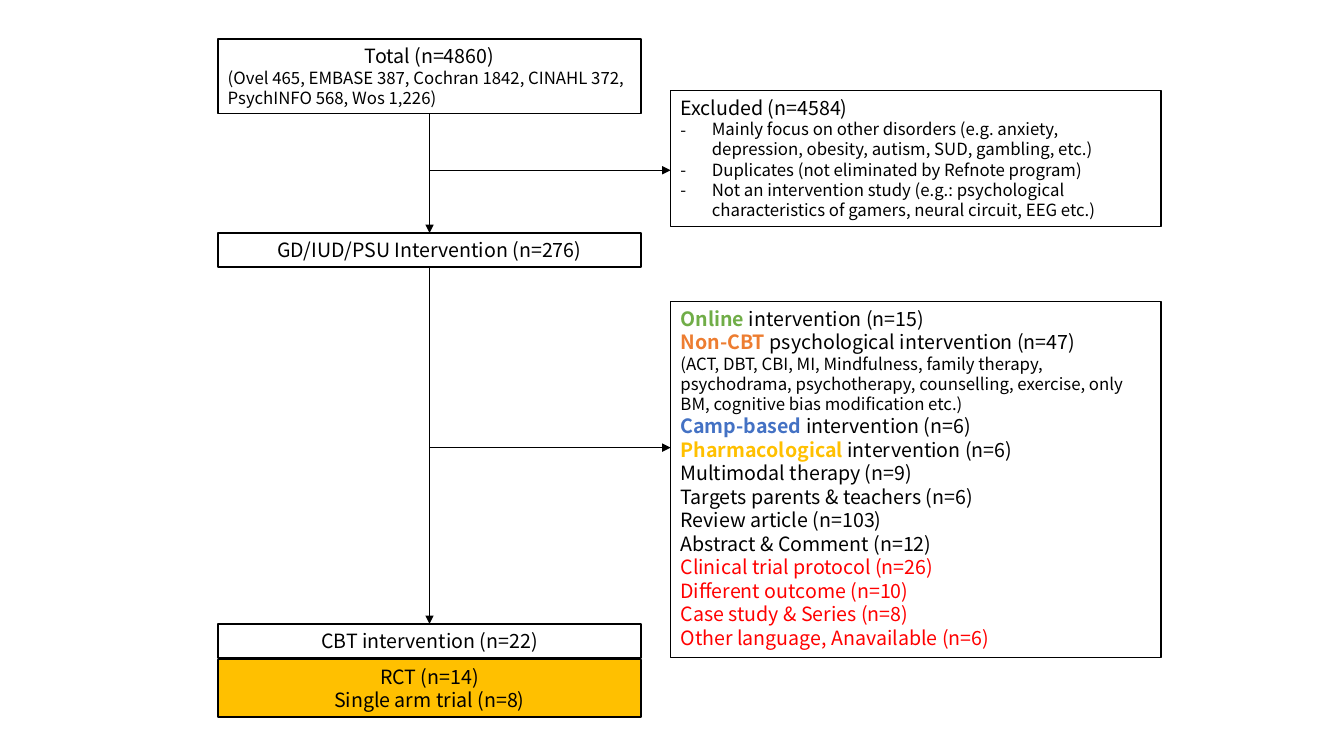
"""Build a study selection flow chart for CBT interventions."""
from lxml import etree
from pptx import Presentation
from pptx.dml.color import RGBColor
from pptx.enum.shapes import MSO_CONNECTOR as CONN, MSO_SHAPE as SHAPE
from pptx.enum.text import MSO_ANCHOR as ANCHOR, MSO_AUTO_SIZE as AUTO, PP_ALIGN as ALIGN
from pptx.oxml.ns import qn
from pptx.util import Cm, Pt

FONT = "Noto Sans CJK KR"
BLACK = RGBColor(0x00, 0x00, 0x00)
WHITE = RGBColor(0xFF, 0xFF, 0xFF)
GREEN = RGBColor(0x70, 0xAD, 0x47)
ORANGE = RGBColor(0xED, 0x7D, 0x31)
BLUE = RGBColor(0x44, 0x72, 0xC4)
GOLD = RGBColor(0xFF, 0xC0, 0x00)
RED = RGBColor(0xFF, 0x00, 0x00)

STEP_X, STEP_W = 5.49, 10.67
SIDE_X, SIDE_W = 16.9, 12.36
AXIS_X = STEP_X + STEP_W / 2


def add_text(p, text, size=14, color=BLACK, align=ALIGN.LEFT, lead="", lead_color=BLACK, bullet=False):
    """Write one paragraph, with an optional bold lead and dash bullet."""
    if bullet:
        pPr = p._p.get_or_add_pPr()
        pPr.set("marL", str(Cm(0.79)))
        pPr.set("indent", str(-Cm(0.79)))
        etree.SubElement(pPr, qn("a:buFont")).set("typeface", FONT)
        etree.SubElement(pPr, qn("a:buChar")).set("char", "-")
    p.alignment = align
    p.line_spacing = Pt(size * 1.2)
    for part, part_color, bold in ((lead, lead_color, True), (text, color, False)):
        if part:
            r = p.add_run()
            r.text = part
            r.font.name = FONT
            r.font.size = Pt(size)
            r.font.bold = bold
            r.font.color.rgb = part_color


prs = Presentation()
prs.slide_width, prs.slide_height = Cm(33.87), Cm(19.05)
s = prs.slides.add_slide(prs.slide_layouts[6])

centred = {"align": ALIGN.CENTER}
small = {"size": 12}
dash = {"size": 12, "bullet": True}
red = {"color": RED}

boxes = {
    "total": (STEP_X, 0.98, STEP_W, 1.88, WHITE, [
        ("Total (n=4860)", centred),
        ("(Ovel 465, EMBASE 387, Cochran 1842, CINAHL 372, PsychINFO 568, Wos 1,226)", small),
    ]),
    "interventions": (STEP_X, 5.87, STEP_W, 0.86, WHITE, [
        ("GD/IUD/PSU Intervention (n=276)", centred),
    ]),
    "excluded": (SIDE_X, 2.28, SIDE_W, 3.43, WHITE, [
        ("Excluded (n=4584)", {}),
        ("Mainly focus on other disorders (e.g. anxiety, depression, obesity, autism, SUD, gambling, etc.)", dash),
        ("Duplicates (not eliminated by Refnote program)", dash),
        ("Not an intervention study (e.g.: psychological characteristics of gamers, neural circuit, EEG etc.)", dash),
    ]),
    "cbt": (STEP_X, 15.72, STEP_W, 0.86, WHITE, [
        ("CBT intervention (n=22)", centred),
    ]),
    "others": (SIDE_X, 7.6, SIDE_W, 8.97, WHITE, [
        (" intervention (n=15)", {"lead": "Online", "lead_color": GREEN}),
        (" psychological intervention (n=47)", {"lead": "Non-CBT", "lead_color": ORANGE}),
        ("(ACT, DBT, CBI, MI, Mindfulness, family therapy, psychodrama, psychotherapy, "
         "counselling, exercise, only BM, cognitive bias modification etc.)", small),
        (" intervention (n=6)", {"lead": "Camp-based", "lead_color": BLUE}),
        ("intervention (n=6)", {"lead": "Pharmacological ", "lead_color": GOLD}),
        ("Multimodal therapy (n=9)", {}),
        ("Targets parents & teachers (n=6)", {}),
        ("Review article (n=103)", {}),
        ("Abstract & Comment (n=12)", {}),
        ("Clinical trial protocol (n=26)", red),
        ("Different outcome (n=10)", red),
        ("Case study & Series (n=8)", red),
        ("Other language, Anavailable (n=6)", red),
    ]),
    "trials": (STEP_X, 16.62, STEP_W, 1.45, GOLD, [
        ("RCT (n=14)", centred),
        ("Single arm trial (n=8)", centred),
    ]),
}

shapes = {}
for name, (x, y, w, h, fill, lines) in boxes.items():
    sp = s.shapes.add_shape(SHAPE.RECTANGLE, Cm(x), Cm(y), Cm(w), Cm(h))
    sp.shadow.inherit = False
    sp.fill.solid()
    sp.fill.fore_color.rgb = fill
    sp.line.color.rgb = BLACK
    sp.line.width = Pt(1)
    tf = sp.text_frame
    tf.word_wrap = True
    tf.auto_size = AUTO.SHAPE_TO_FIT_TEXT
    tf.vertical_anchor = ANCHOR.TOP
    for i, (text, style) in enumerate(lines):
        add_text(tf.add_paragraph() if i else tf.paragraphs[0], text, **style)
    shapes[name] = sp

arrows = [
    (AXIS_X, 2.86, AXIS_X, 5.87, "total", "interventions"),
    (AXIS_X, 6.73, AXIS_X, 15.72, "interventions", "cbt"),
    (AXIS_X, 4.29, SIDE_X, 4.29, None, None),
    (AXIS_X, 11.28, SIDE_X, 11.28, None, None),
]
for x1, y1, x2, y2, start, end in arrows:
    c = s.shapes.add_connector(CONN.STRAIGHT, Cm(x1), Cm(y1), Cm(x2), Cm(y2))
    if start:
        c.begin_connect(shapes[start], 2)
        c.end_connect(shapes[end], 0)
    c.line.color.rgb = BLACK
    c.line.width = Pt(0.5)
    etree.SubElement(c.line._get_or_add_ln(), qn("a:tailEnd")).set("type", "triangle")
    etree.SubElement(c._element.spPr, qn("a:effectLst"))

prs.save("out.pptx")
